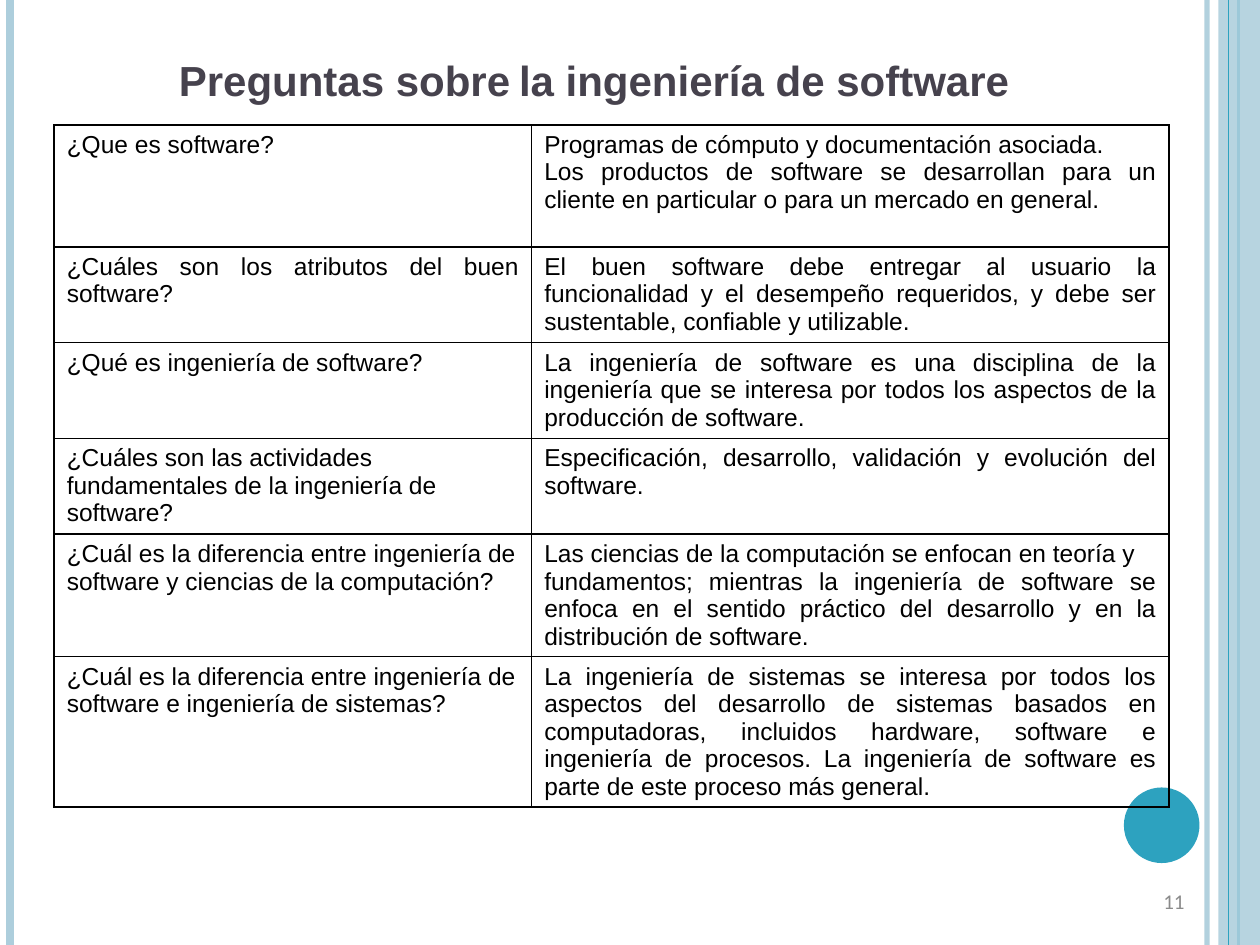
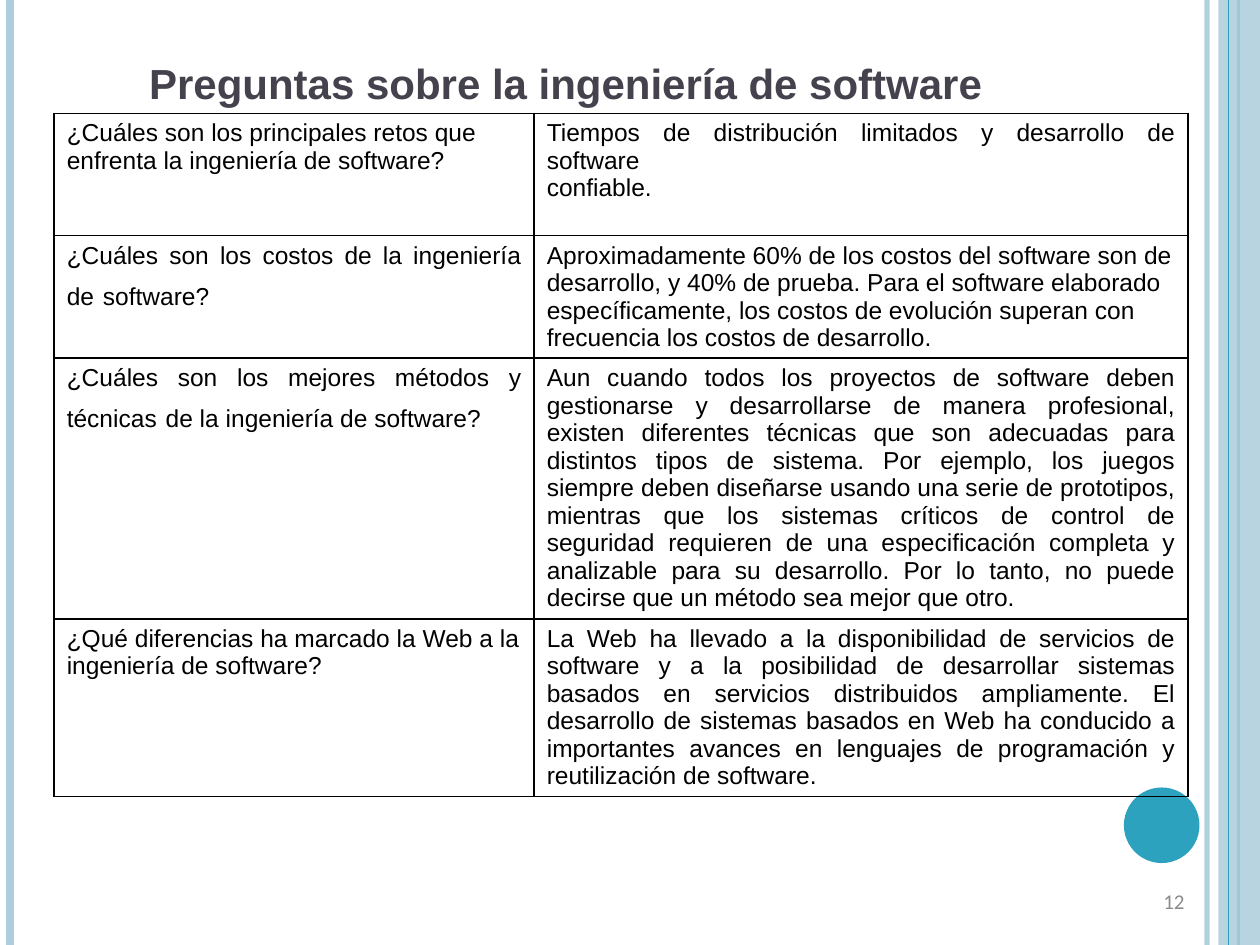
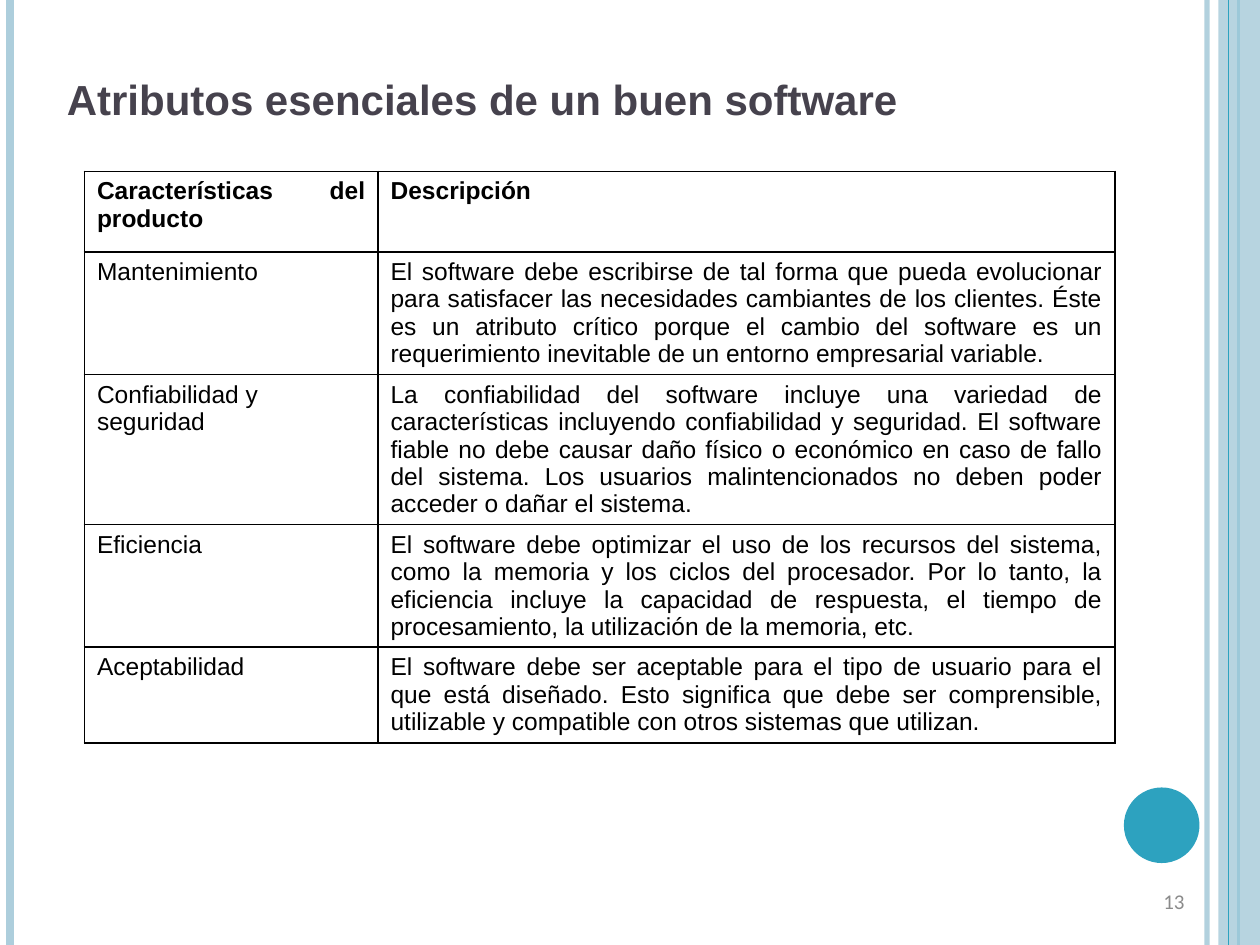
from dataclasses import dataclass
from lxml import etree
from pptx import Presentation
from pptx.dml.color import RGBColor
from pptx.enum.shapes import MSO_CONNECTOR, MSO_SHAPE
from pptx.enum.text import MSO_ANCHOR, MSO_AUTO_SIZE, PP_ALIGN
from pptx.oxml.ns import qn
from pptx.util import Inches, Pt

LEFT, CENTER, RIGHT, JUSTIFY = PP_ALIGN.LEFT, PP_ALIGN.CENTER, PP_ALIGN.RIGHT, PP_ALIGN.JUSTIFY
MIDDLE = MSO_ANCHOR.MIDDLE
NO_FIT = MSO_AUTO_SIZE.NONE
STRAIGHT = MSO_CONNECTOR.STRAIGHT
RECT, OVAL = MSO_SHAPE.RECTANGLE, MSO_SHAPE.OVAL
TITLE_ONLY = 5


@dataclass(frozen=True)
class Theme:
    pale: str = "ADCEDC"
    teal: str = "2DA2BF"
    black: str = "000000"
    title: tuple = ("Arial", 24, "46424D", True)
    body: tuple = ("Arial", 14, "000000", False)
    header: tuple = ("Arial", 14, "000000", True)
    gap: tuple = ("TeX Gyre Schola", 18, "000000", False)
    number: tuple = ("Calibri", 12, "8B8B8B", False)
    leading: float = 15.7
    border: float = 1


T = Theme()
WIDTH, HEIGHT = 10, 7.5
FIRST_NUMBER = 11
NUMBER_BOX = (7.17, 6.95, 2.33, 0.4)

# Shared decoration, back to front: (x, colour, points, opacity %)
RULES_BELOW = [(9.58, T.pale, 3, 93), (0.08, T.pale, 4.5, 100), (9.83, T.teal, 1.5, 100)]
RULES_ABOVE = [(9.75, T.teal, 0.75, 100)]
BAND = (RECT, (9.67, 0, 0.33, HEIGHT), T.pale, 87)
DISC = (OVAL, (8.92, 6.25, 0.6, 0.6), T.teal, 100)

# Content: "\n" starts a paragraph, "|" marks a wider word gap
SLIDES = [
    dict(
        title="Preguntas sobre|la ingeniería de software",
        title_box=(0.51, 0.13, 8.41, 1.29), title_align=CENTER, title_bottom=0.34,
        at=(0.43, 0.99), cols=[3.79, 5.06], heights=[0.97, 0.76, 0.76, 0.76, 0.97, 1.19],
        header=False, left_cells=[(3, 0)],
        rows=[
            ("¿Que es software?",
             "Programas de cómputo y documentación asociada.\n"
             "Los productos de software se desarrollan para un cliente en particular o para un "
             "mercado en general."),
            ("¿Cuáles son los atributos del buen software?",
             "El buen software debe entregar al usuario la funcionalidad y el desempeño "
             "requeridos, y debe ser sustentable, confiable y utilizable."),
            ("¿Qué es ingeniería de software?",
             "La ingeniería de software es una disciplina de la ingeniería que se interesa por "
             "todos los aspectos de la producción de software."),
            ("¿Cuáles son las actividades fundamentales de la ingeniería de software?",
             "Especificación, desarrollo, validación y evolución del software."),
            ("¿Cuál es la diferencia entre ingeniería de\nsoftware y ciencias de la computación?",
             "Las ciencias de la computación se enfocan en teoría y\n"
             "fundamentos; mientras la ingeniería de software se enfoca en el sentido práctico "
             "del desarrollo y en la distribución de software."),
            ("¿Cuál es la diferencia entre ingeniería de\nsoftware e ingeniería de sistemas?",
             "La ingeniería de sistemas se interesa por todos los aspectos del desarrollo de "
             "sistemas basados en computadoras, incluidos hardware, software e ingeniería de "
             "procesos. La ingeniería de software es parte de este proceso más general."),
        ]),
    dict(
        title="Preguntas sobre la ingeniería de software",
        title_box=(0.5, 0.03, 7.98, 1.25), title_align=CENTER, title_bottom=0.05,
        at=(0.43, 0.9), cols=[3.81, 5.19], heights=[0.97, 0.97, 2.07, 1.41],
        header=False, left_cells=[],
        rows=[
            ("¿Cuáles son los principales retos que\nenfrenta la ingeniería de software?",
             "Tiempos de distribución limitados y desarrollo de software\nconfiable."),
            ("¿Cuáles son los costos de la ingeniería de|software?",
             "Aproximadamente 60% de los costos del software son de\n"
             "desarrollo, y 40% de prueba. Para el software elaborado\n"
             "específicamente, los costos de evolución superan con\n"
             "frecuencia los costos de desarrollo."),
            ("¿Cuáles son los mejores métodos y técnicas|de la ingeniería de software?",
             "Aun cuando todos los proyectos de software deben gestionarse y desarrollarse de "
             "manera profesional, existen diferentes técnicas que son adecuadas para distintos "
             "tipos de sistema. Por ejemplo, los juegos siempre deben diseñarse usando una serie "
             "de prototipos, mientras que los sistemas críticos de control de seguridad "
             "requieren de una especificación completa y analizable para su desarrollo. Por lo "
             "tanto, no puede decirse que un método sea mejor que otro."),
            ("¿Qué diferencias ha marcado la Web a la\ningeniería de software?",
             "La Web ha llevado a la disponibilidad de servicios de software y a la posibilidad "
             "de desarrollar sistemas basados en servicios distribuidos ampliamente. El "
             "desarrollo de sistemas basados en Web ha conducido a importantes avances en "
             "lenguajes de programación y reutilización de software."),
        ]),
    dict(
        title="Atributos esenciales de un buen software",
        title_box=(0.43, 0.16, 7.98, 1.25), title_align=LEFT, title_bottom=0.05,
        at=(0.67, 1.36), cols=[2.33, 5.85], heights=[0.64, 0.97, 1.19, 0.97, 0.76],
        header=True, left_cells=[(2, 0)],
        rows=[
            ("Características del producto", "Descripción"),
            ("Mantenimiento",
             "El software debe escribirse de tal forma que pueda evolucionar para satisfacer las "
             "necesidades cambiantes de los clientes. Éste es un atributo crítico porque el "
             "cambio del software es un requerimiento inevitable de un entorno empresarial "
             "variable."),
            ("Confiabilidad y seguridad",
             "La confiabilidad del software incluye una variedad de características incluyendo "
             "confiabilidad y seguridad. El software fiable no debe causar daño físico o "
             "económico en caso de fallo del sistema. Los usuarios malintencionados no deben "
             "poder acceder o dañar el sistema."),
            ("Eficiencia",
             "El software debe optimizar el uso de los recursos del sistema, como la memoria y "
             "los ciclos del procesador. Por lo tanto, la eficiencia incluye la capacidad de "
             "respuesta, el tiempo de procesamiento, la utilización de la memoria, etc."),
            ("Aceptabilidad",
             "El software debe ser aceptable para el tipo de usuario para el que está diseñado. "
             "Esto significa que debe ser comprensible, utilizable y compatible con otros "
             "sistemas que utilizan."),
        ]),
]


def inches(values):
    return [Inches(v) for v in values]


def set_attrs(obj, values):
    for name, value in values.items():
        setattr(obj, name, value)


# Text
def add_run(p, text, style):
    r = p.add_run()
    r.text = text
    name, size, color, bold = style
    set_attrs(r.font, dict(name=name, size=Pt(size), bold=bold))
    r.font.color.rgb = RGBColor.from_string(color)


def write(tf, text, style, align):
    for i, line in enumerate(text.split("\n")):
        p = tf.add_paragraph() if i else tf.paragraphs[0]
        p.alignment = align
        for j, part in enumerate(line.split("|")):
            if j:
                add_run(p, " ", T.gap)
            add_run(p, part, style)


def write_cell(cell, text, style, align):
    write(cell.text_frame, text, style, align)
    for p in cell.text_frame.paragraphs:
        # Fixed leading keeps rows at their set height; mixed sizes need natural leading
        if "|" not in text:
            p.line_spacing = Pt(T.leading)
        end = etree.SubElement(p._p, qn("a:endParaRPr"), sz=str(style[1] * 100))
        etree.SubElement(end, qn("a:latin"), typeface=style[0])


# Decoration, built on a slide and then moved to the master
def set_opacity(parent, percent):
    if percent < 100:
        clr = parent.find(".//" + qn("a:srgbClr"))
        etree.SubElement(clr, qn("a:alpha"), val=str(percent * 1000))


def add_rule(shapes, x, color, points, opacity):
    line = shapes.add_connector(STRAIGHT, *inches((x, 0, x, HEIGHT)))
    line.line.color.rgb = RGBColor.from_string(color)
    line.line.width = Pt(points)
    sp_pr = line._element.spPr
    set_opacity(sp_pr, opacity)
    etree.SubElement(sp_pr, qn("a:effectLst"))
    return line


def add_solid(shapes, kind, box, color, opacity):
    sp = shapes.add_shape(kind, *inches(box))
    sp.shadow.inherit = False
    sp.fill.solid()
    sp.fill.fore_color.rgb = RGBColor.from_string(color)
    sp.line.fill.background()
    set_opacity(sp._element.spPr, opacity)
    return sp


def decorate_master(master, shapes):
    parts = [add_rule(shapes, *rule) for rule in RULES_BELOW]
    parts.append(add_solid(shapes, *BAND))
    parts += [add_rule(shapes, *rule) for rule in RULES_ABOVE]
    parts.append(add_solid(shapes, *DISC))
    tree = master.shapes._spTree
    for i, part in enumerate(parts):
        part._element.find(".//" + qn("p:cNvPr")).set("id", str(100 + i))
        tree.insert(2 + i, part._element)


# Table
def add_borders(cell):
    tc_pr = cell._tc.get_or_add_tcPr()
    for side in ("lnL", "lnR", "lnT", "lnB"):
        ln = etree.SubElement(tc_pr, qn("a:" + side), w=str(Pt(T.border)))
        fill = etree.SubElement(ln, qn("a:solidFill"))
        etree.SubElement(fill, qn("a:srgbClr"), val=T.black)


def add_grid(s, d):
    size = (sum(d["cols"]), sum(d["heights"]))
    frame = s.shapes.add_table(len(d["rows"]), len(d["cols"]), *inches(d["at"] + size))
    table = frame.table
    set_attrs(table, dict(first_row=False, horz_banding=False))
    for col, width in zip(table.columns, d["cols"]):
        col.width = Inches(width)
    for row, height in zip(table.rows, d["heights"]):
        row.height = Inches(height)
    for i, texts in enumerate(d["rows"]):
        style = T.header if d["header"] and i == 0 else T.body
        for j, text in enumerate(texts):
            cell = table.cell(i, j)
            add_borders(cell)
            cell.fill.background()
            write_cell(cell, text, style, LEFT if (i, j) in d["left_cells"] else JUSTIFY)


# Title and slide number
def add_title(s, d):
    title = s.shapes.title
    set_attrs(title, dict(zip(("left", "top", "width", "height"), inches(d["title_box"]))))
    tf = title.text_frame
    set_attrs(tf, dict(word_wrap=True, auto_size=NO_FIT, vertical_anchor=MIDDLE,
                       margin_bottom=Inches(d["title_bottom"])))
    write(tf, d["title"], T.title, d["title_align"])


def add_number(s, number):
    tf = s.shapes.add_textbox(*inches(NUMBER_BOX)).text_frame
    set_attrs(tf, dict(word_wrap=True, vertical_anchor=MIDDLE))
    write(tf, str(number), T.number, RIGHT)


prs = Presentation()
prs.slide_width, prs.slide_height = inches((WIDTH, HEIGHT))
for number, data in enumerate(SLIDES, FIRST_NUMBER):
    s = prs.slides.add_slide(prs.slide_layouts[TITLE_ONLY])
    if number == FIRST_NUMBER:
        decorate_master(prs.slide_master, s.shapes)
    add_title(s, data)
    add_number(s, number)
    add_grid(s, data)
prs.save("out.pptx")
